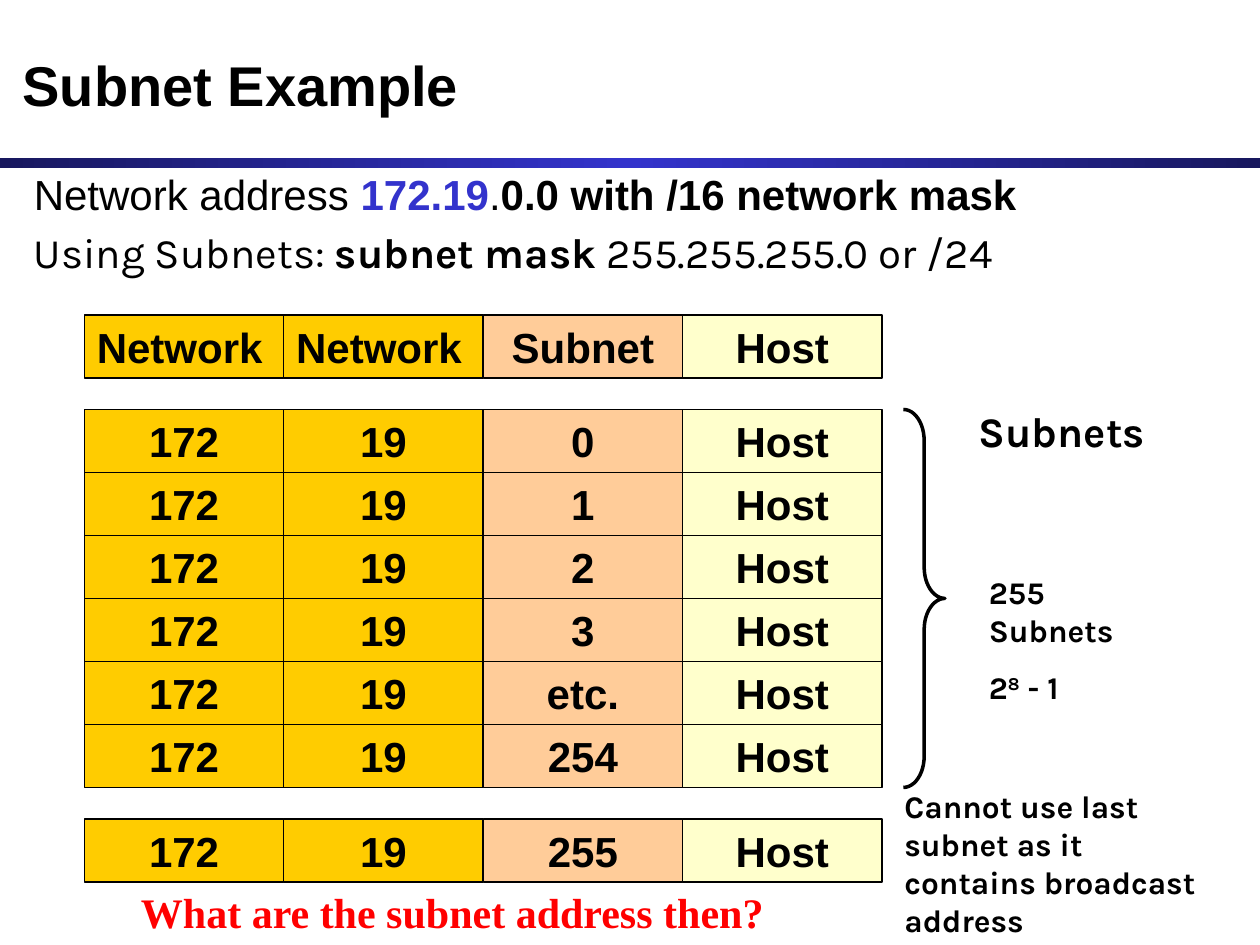
import copy
from dataclasses import dataclass

import pptx
import pptx.dml.color
import pptx.enum.shapes
import pptx.enum.text
import pptx.util
from pptx.util import Inches

ALIGN = pptx.enum.text.PP_ALIGN
ANCHOR = pptx.enum.text.MSO_ANCHOR
SHAPE = pptx.enum.shapes.MSO_SHAPE


def rgb(value):
    """Return the colour for a hexadecimal string."""
    return pptx.dml.color.RGBColor.from_string(value)


@dataclass(frozen=True)
class Theme:
    """Hold the fonts, type sizes and colours of the slide."""
    sans: str = "Arial"
    note: str = "Karla"
    serif: str = "Times New Roman"
    title: int = 32
    body: int = 24
    small: int = 18
    ink: str = "000000"
    accent: str = "3333CC"
    bar_edge: str = "18185E"
    question: str = "FF0000"
    network: str = "FFCC00"
    subnet: str = "FFCC99"
    host: str = "FFFFCC"


THEME = Theme()


def set_font(para, name, size, color=THEME.ink, bold=None):
    """Set the shared font of a paragraph."""
    para.font.name = name
    para.font.size = pptx.util.Pt(size)
    para.font.color.rgb = rgb(color)
    para.font.bold = bold


def add_text(page, box, paragraphs, name, size, color=THEME.ink, bold=None, wrap=True):
    """Add a text box of paragraphs, each a list of (text, bold) spans."""
    frame = page.shapes.add_textbox(*map(Inches, box)).text_frame
    frame.word_wrap = wrap
    for index, spans in enumerate(paragraphs):
        para = frame.add_paragraph() if index else frame.paragraphs[0]
        set_font(para, name, size, color, bold)
        for text, span_bold in spans:
            span = para.add_run()
            span.text = text
            if span_bold is not None:
                span.font.bold = span_bold
    return frame


def add_header(page, title_box, bar_box):
    """Place the title and the gradient bar below it."""
    bar = page.shapes.add_shape(SHAPE.RECTANGLE, *map(Inches, bar_box))
    bar.shadow.inherit = False
    bar.line.fill.background()
    bar.fill.gradient()
    bar.fill.gradient_angle = 0
    stops = bar.fill.gradient_stops
    for stop, color, position in zip(stops, (THEME.bar_edge, THEME.accent), (0, 0.5)):
        stop.color.rgb = rgb(color)
        stop.position = position
    stop_list = bar.fill._fill._gradFill.gsLst
    end_stop = copy.deepcopy(stop_list[0])
    end_stop.set("pos", "100000")
    stop_list.append(end_stop)

    title = page.shapes.title
    title.left, title.top, title.width, title.height = map(Inches, title_box)
    frame = title.text_frame
    frame.auto_size = pptx.enum.text.MSO_AUTO_SIZE.NONE
    frame.vertical_anchor = ANCHOR.MIDDLE
    frame.text = "Subnet Example"
    frame.paragraphs[0].alignment = ALIGN.LEFT
    set_font(frame.paragraphs[0], THEME.sans, THEME.title, bold=True)


def add_intro(page, left, top):
    """Place the two lines describing the network address and its mask."""
    frame = add_text(page, (left, top, 9.33, 0.42), [[
        ("Network address ", None), ("172.19", True), (".", None),
        ("0.0 with /16 network mask", True)]], THEME.sans, THEME.body)
    para = frame.paragraphs[0]
    para.line_spacing = 0.9
    para.runs[1].font.color.rgb = rgb(THEME.accent)
    add_text(page, (left, top + 0.42, 7.92, 0.9), [[
        ("Using Subnets: ", None), ("subnet mask", True),
        (" 255.255.255.0 or /24", None)]], THEME.note, THEME.body)


def add_address_row(page, box, labels, network_align=ALIGN.CENTER):
    """Place one address as a group of four equal cells."""
    left, top, width, height = box
    fills = (THEME.network, THEME.network, THEME.subnet, THEME.host)
    aligns = (network_align, network_align, ALIGN.CENTER, ALIGN.CENTER)
    cell_width = width / len(labels)
    group = page.shapes.add_group_shape()
    for index, (label, fill, align) in enumerate(zip(labels, fills, aligns)):
        cell = group.shapes.add_shape(
            SHAPE.RECTANGLE, Inches(left + index * cell_width), Inches(top),
            Inches(cell_width), Inches(height))
        cell.shadow.inherit = False
        cell.fill.solid()
        cell.fill.fore_color.rgb = rgb(fill)
        cell.line.color.rgb = rgb(THEME.ink)
        cell.line.width = pptx.util.Pt(0.75)
        cell.text_frame.vertical_anchor = ANCHOR.TOP
        para = cell.text_frame.paragraphs[0]
        para.text = label
        para.alignment = align
        set_font(para, THEME.sans, THEME.body, bold=True)


def add_address_grid(page, box):
    """Place the heading, the usable subnets and the last subnet."""
    left, top, width, row_height = box
    gap = row_height / 2
    add_address_row(page, box, ("Network", "Network", "Subnet", "Host"), ALIGN.LEFT)
    first = top + row_height + gap
    subnets = ("0", "1", "2", "3", "etc.", "254", "255")
    for index, subnet in enumerate(subnets):
        row_top = first + index * row_height + (gap if subnet == "255" else 0)
        add_address_row(page, (left, row_top, width, row_height),
                        ("172", "19", subnet, "Host"))


def add_subnet_notes(page, left, top):
    """Place the brace beside the usable subnets and its notes."""
    brace = page.shapes.add_shape(
        SHAPE.RIGHT_BRACE, Inches(left), Inches(top), Inches(0.33), Inches(3))
    brace.shadow.inherit = False
    brace.adjustments[0] = 0.75
    brace.fill.background()
    brace.line.color.rgb = rgb(THEME.ink)
    brace.line.width = pptx.util.Pt(2)

    add_text(page, (left + 0.5, top - 0.08, 1.58, 0.5), [[("Subnets", None)]],
             THEME.note, THEME.body, bold=True)
    count = add_text(page, (left + 0.58, top + 1.25, 1.58, 1.16), [
        [("255 Subnets", None)], [("2", None), ("8", None), (" - 1", None)]],
        THEME.note, THEME.small, bold=True)
    power = count.paragraphs[1]
    power.space_before = pptx.util.Pt(11.2)
    power.runs[1]._r.get_or_add_rPr().set("baseline", "30000")
    add_text(page, (left - 0.09, top + 2.95, 2.67, 1.3), [[
        ("Cannot use last subnet as it contains broadcast address", None)]],
        THEME.note, THEME.small, bold=True)


def main():
    """Build the slide and save it."""
    deck = pptx.Presentation()
    deck.slide_width, deck.slide_height = Inches(10), Inches(7.5)
    page = deck.slides.add_slide(deck.slide_layouts.get_by_name("Title Only"))
    add_header(page, (0.08, 0.17, 9.83, 1), (0, 1.25, 10, 0.08))
    add_intro(page, 0.17, 1.33)
    add_address_grid(page, (0.67, 2.5, 6.33, 0.5))
    add_subnet_notes(page, 7.17, 3.25)
    add_text(page, (1.02, 6.99, 5.15, 0.5), [[("What are the subnet address then?", None)]],
             THEME.serif, THEME.body, THEME.question, bold=True, wrap=False)
    deck.save("out.pptx")


if __name__ == "__main__":
    main()
